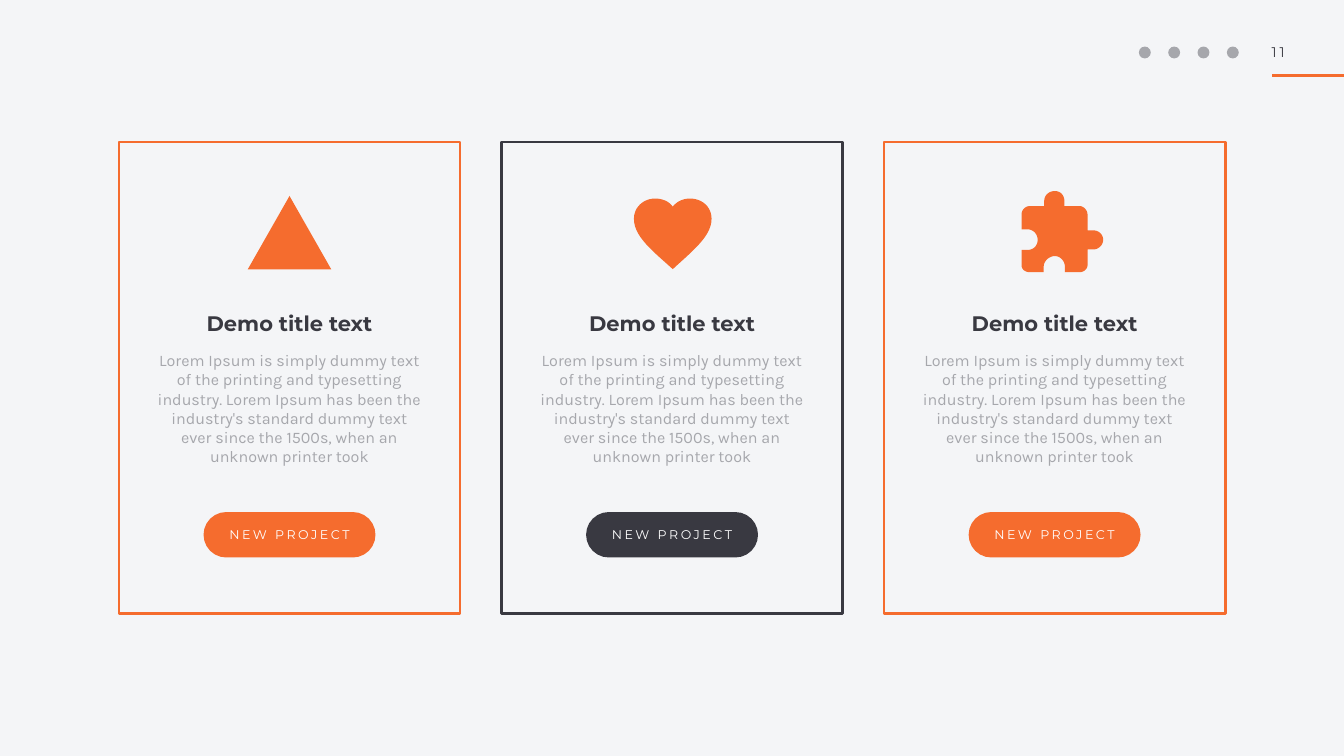
from pptx import Presentation
from pptx.dml.color import RGBColor as Color
from pptx.enum.shapes import MSO_CONNECTOR as Link, MSO_SHAPE as Kind
from pptx.enum.text import MSO_ANCHOR as Anchor, PP_ALIGN as Align
from pptx.oxml.ns import qn
from pptx.util import Pt

NOTE = ("Lorem Ipsum is simply dummy text of the printing and typesetting industry. "
        "Lorem Ipsum has been the industry's standard dummy text ever since the 1500s, "
        "when an unknown printer took")
CARDS = [
    {"head": "Demo title text", "note": NOTE, "call": "NEW PROJECT", "tone": "main", "icon": "tri"},
    {"head": "Demo title text", "note": NOTE, "call": "NEW PROJECT", "tone": "dark", "icon": "heart"},
    {"head": "Demo title text", "note": NOTE, "call": "NEW PROJECT", "tone": "main", "icon": "piece"},
]
PAGE = "11"

THEME = {
    "main": "F56C2E", "dark": "393941", "soft": "A6A7AC", "white": "FFFFFF", "back": "F4F5F7",
    "head": {"size": 30, "face": "Montserrat", "tone": "dark", "bold": True},
    "note": {"size": 23, "face": "Karla", "tone": "soft"},
    "call": {"size": 18, "face": "Montserrat", "tone": "white", "gap": 3.6},
    "page": {"size": 20, "face": "Montserrat", "tone": "dark", "gap": 4},
}

HEART = [
    (77, 140), (66, 130), (26, 95, 0, 70, 0, 40), (0, 17, 19, 0, 42, 0),
    (56, 0, 69, 5, 77, 16), (86, 5, 98, 0, 111, 0), (136, 0, 154, 17, 154, 40),
    (154, 70, 127, 95, 88, 130),
]
PIECE = [
    (142, 78), (131, 78), (131, 47), (131, 38, 123, 30, 116, 30), (85, 30), (85, 20),
    (85, 8, 77, 0, 66, 0), (55, 0, 45, 8, 45, 20), (45, 30), (16, 30),
    (7, 30, 0, 38, 0, 47), (0, 76), (12, 76), (23, 76, 32, 85, 32, 97),
    (32, 109, 23, 117, 12, 117), (0, 117), (0, 147), (0, 155, 7, 161, 16, 161),
    (44, 161), (44, 150), (44, 139, 55, 129, 66, 129), (77, 129, 86, 139, 86, 150),
    (86, 161), (116, 161), (123, 161, 131, 155, 131, 147), (131, 116), (142, 116),
    (153, 116, 162, 107, 162, 97), (162, 86, 153, 78, 142, 78),
]
ICONS = {
    "tri": {"size": (119.5, 105), "top": 280, "shift": 0},
    "heart": {"size": (110.9, 100.8), "top": 283.7, "shift": 1, "edge": HEART},
    "piece": {"size": (116.6, 116.6), "top": 272.9, "shift": 11, "edge": PIECE},
}

WIDE, HIGH = 1920, 1080
LEFT, TOP, CARD_W, CARD_H, STEP = 169.9, 203, 487.4, 673.2, 546.5
UNIT, FINE, CUTS = 0.72, 100, 12


def tint(name):
    return Color.from_string(THEME[name])


def paint(shape, fill=None, line=None, width=0):
    shape.shadow.inherit = False
    if fill:
        shape.fill.solid()
        shape.fill.fore_color.rgb = tint(fill)
    else:
        shape.fill.background()
    if line:
        shape.line.color.rgb = tint(line)
        shape.line.width = Pt(width)
    else:
        shape.line.fill.background()


def write(shape, text, style, align=Align.CENTER, anchor=Anchor.MIDDLE):
    look = THEME[style]
    frame = shape.text_frame
    frame.word_wrap = True
    frame.vertical_anchor = anchor
    frame.margin_left = frame.margin_right = frame.margin_top = frame.margin_bottom = Pt(3)
    para = frame.paragraphs[0]
    para.text = text
    para.alignment = align
    font = para.font
    font.size, font.name = Pt(look["size"]), look["face"]
    font.bold = look.get("bold", False)
    font.color.rgb = tint(look["tone"])
    if "gap" in look:
        para._p.pPr.find(qn("a:defRPr")).set("spc", str(round(look["gap"] * 100)))
    return para


def place(mid, top, wide, high):
    return Pt(mid - wide / 2), Pt(top), Pt(wide), Pt(high)


def trace(edge):
    dots = [edge[0]]
    for part in edge[1:]:
        if len(part) == 2:
            dots.append(part)
            continue
        knots = [dots[-1], part[:2], part[2:4], part[4:]]
        for cut in range(1, CUTS + 1):
            t = cut / CUTS
            mix = ((1 - t) ** 3, 3 * t * (1 - t) ** 2, 3 * t * t * (1 - t), t ** 3)
            dots.append(tuple(sum(m * k[axis] for m, k in zip(mix, knots)) for axis in (0, 1)))
    return [(x * FINE, y * FINE) for x, y in dots]


def add_icon(shapes, name, mid):
    icon = ICONS[name]
    box = place(mid + icon["shift"], icon["top"], *icon["size"])
    if "edge" in icon:
        dots = trace(icon["edge"])
        pen = shapes.build_freeform(*dots[0], scale=Pt(UNIT) / FINE)
        pen.add_line_segments(dots[1:], close=True)
        shape = pen.convert_to_shape(*box[:2])
    else:
        shape = shapes.add_shape(Kind.ISOSCELES_TRIANGLE, *box)
    paint(shape, "main")


def add_card(slide, card, left):
    shapes = slide.shapes.add_group_shape().shapes
    mid = left + CARD_W / 2
    frame = shapes.add_shape(Kind.RECTANGLE, *place(mid, TOP, CARD_W, CARD_H))
    paint(frame, line=card["tone"], width=4)
    add_icon(shapes, card["icon"], mid)
    head = shapes.add_textbox(*place(mid, 442.8, 286.6, 43.2))
    write(head, card["head"], "head").line_spacing = 0.8
    note = shapes.add_textbox(*place(mid, 497.5, 385.2, 175))
    write(note, card["note"], "note", anchor=Anchor.TOP)
    call = shapes.add_shape(Kind.ROUNDED_RECTANGLE, *place(mid, 733, 242.6, 61.9))
    call.adjustments[0] = 0.5
    paint(call, card["tone"], card["tone"], 3)
    write(call, card["call"], "call")


def add_top(slide):
    for spot in range(4):
        dot = slide.shapes.add_shape(Kind.OVAL, *place(1635.5 + 41.9 * spot, 66.5, 17, 17))
        paint(dot, "soft")
    page = slide.shapes.add_textbox(Pt(1813.7), Pt(59.8), Pt(47.5), Pt(30.2))
    write(page, PAGE, "page", Align.LEFT, Anchor.TOP)
    rule = slide.shapes.add_connector(Link.STRAIGHT, Pt(1817.3), Pt(108), Pt(WIDE), Pt(108))
    rule.line.color.rgb = tint("main")
    rule.line.width = Pt(4)
    props = rule._element.spPr
    props.append(props.makeelement(qn("a:effectLst"), {}))


def main():
    deck = Presentation()
    deck.slide_width, deck.slide_height = Pt(WIDE), Pt(HIGH)
    slide = deck.slides.add_slide(deck.slide_layouts[6])
    slide.background.fill.solid()
    slide.background.fill.fore_color.rgb = tint("back")
    add_top(slide)
    for spot, card in enumerate(CARDS):
        add_card(slide, card, LEFT + STEP * spot)
    deck.save("out.pptx")


if __name__ == "__main__":
    main()
